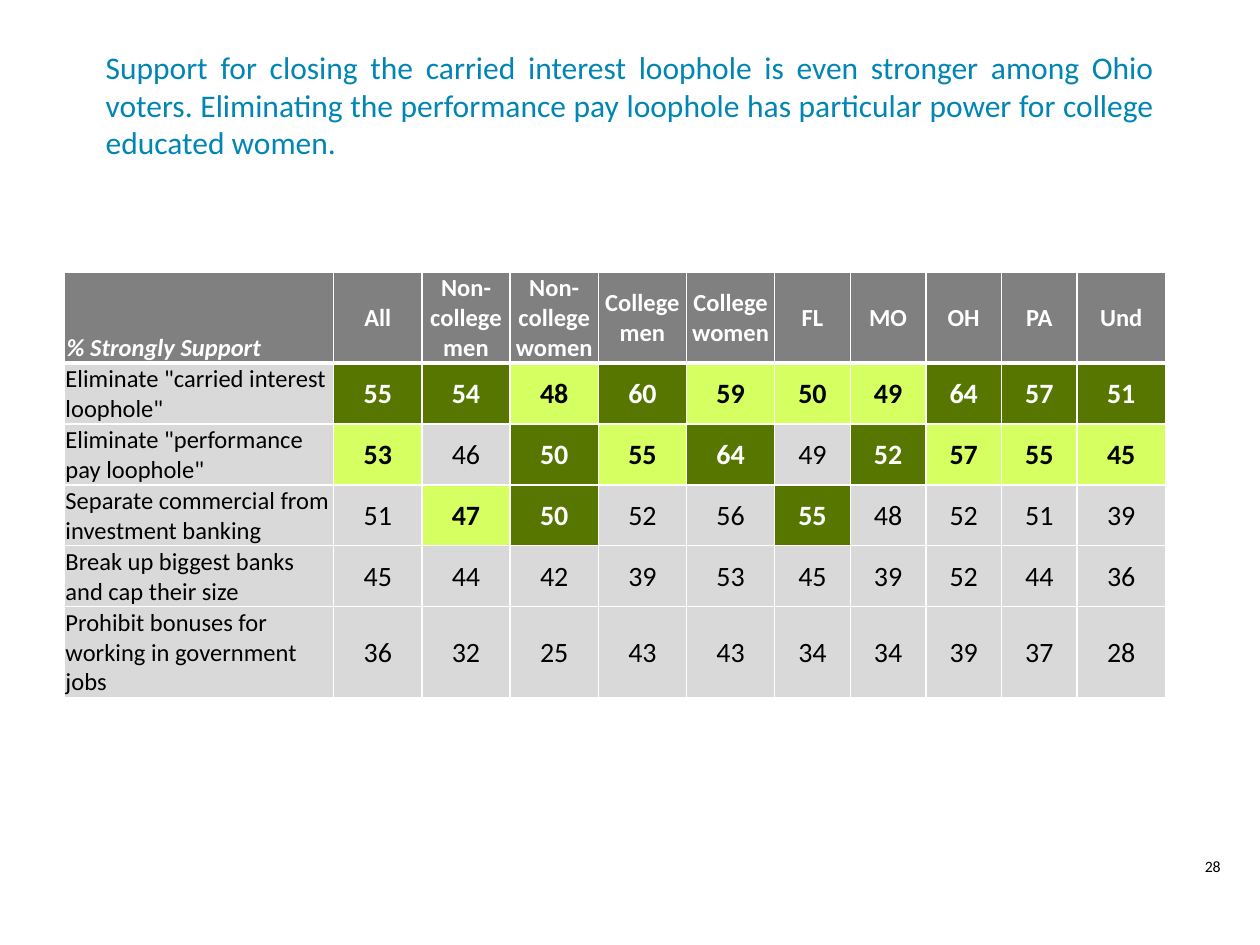
import dataclasses
import pptx
import pptx.util
import pptx.dml.color
import pptx.enum.text
import pptx.oxml

Pt = pptx.util.Pt
Align = pptx.enum.text.PP_ALIGN
Anchor = pptx.enum.text.MSO_ANCHOR


@dataclasses.dataclass(frozen=True)
class Theme:
    font: str = "Calibri"
    title: str = "0085B4"
    ink: str = "000000"
    paper: str = "FFFFFF"
    head: str = "808080"
    plain: str = "D9D9D9"
    first: str = "577600"
    second: str = "D6FF62"
    big: int = 18
    value: int = 16
    label: int = 14
    small: int = 9


THEME = Theme()

GROUPS = ["All", "Non-college men", "Non-college women", "College men",
          "College women", "FL", "MO", "OH", "PA", "Und"]
SUPPORT = {
    'Eliminate "carried interest loophole"': [55, 54, 48, 60, 59, 50, 49, 64, 57, 51],
    'Eliminate "performance pay loophole"': [53, 46, 50, 55, 64, 49, 52, 57, 55, 45],
    "Separate commercial from investment banking": [51, 47, 50, 52, 56, 55, 48, 52, 51, 39],
    "Break up biggest banks and cap their size": [45, 44, 42, 39, 53, 45, 39, 52, 44, 36],
    "Prohibit bonuses for working in government jobs": [36, 32, 25, 43, 43, 34, 34, 39, 37, 28],
}
WIDTHS = [154] + [50.4] * 5 + [43.2] * 4 + [50.4]
HEIGHTS = [52] + [34.8] * 4 + [52]


def color(code):
    return pptx.dml.color.RGBColor.from_string(code)


def write(frame, text, size=THEME.label, ink=THEME.ink, align=Align.LEFT,
          bold=False, italic=False):
    frame.word_wrap = True
    para = frame.paragraphs[0]
    para.alignment = align
    run = para.add_run()
    run.text = text
    font = run.font
    font.name, font.size = THEME.font, Pt(size)
    font.bold, font.italic = bold, italic
    font.color.rgb = color(ink)


def add_text(slide, box, text, anchor=Anchor.TOP, **style):
    frame = slide.shapes.add_textbox(*map(Pt, box)).text_frame
    frame.vertical_anchor = anchor
    write(frame, text, **style)


def add_title(slide, box):
    add_text(slide, box,
             "Support for closing the carried interest loophole is even stronger "
             "among Ohio voters. Eliminating the performance pay loophole has "
             "particular power for college educated women.",
             anchor=Anchor.MIDDLE, size=THEME.big, ink=THEME.title,
             align=Align.JUSTIFY)


def add_number(slide, box):
    add_text(slide, box, "28", size=THEME.small, align=Align.CENTER)


def set_edges(cell, **widths):
    props = cell._tc.get_or_add_tcPr()
    for place, side in enumerate("LRTB"):
        width = Pt(widths.get(side, 1))
        props.insert(place, pptx.oxml.parse_xml(
            f'<a:ln{side} xmlns:a="http://schemas.openxmlformats.org/drawingml/2006/main" '
            f'w="{width}"><a:solidFill><a:srgbClr val="{THEME.paper}"/>'
            f'</a:solidFill></a:ln{side}>'))


def fill_cell(cell, text, fill, anchor=Anchor.MIDDLE, pad=0.72, edges=None, **style):
    cell.fill.solid()
    cell.fill.fore_color.rgb = color(fill)
    cell.vertical_anchor = anchor
    cell.margin_left = cell.margin_right = cell.margin_top = Pt(pad)
    cell.margin_bottom = Pt(0)
    set_edges(cell, **(edges or {}))
    write(cell.text_frame, text, **style)


def rank_style(value, column):
    ranks = sorted(set(column), reverse=True)
    if value == ranks[0]:
        return dict(fill=THEME.first, ink=THEME.paper, bold=True)
    if value == ranks[1]:
        return dict(fill=THEME.second, bold=True)
    return dict(fill=THEME.plain)


def add_support(slide, box):
    table = slide.shapes.add_table(len(HEIGHTS), len(WIDTHS), *map(Pt, box)).table
    table.horz_banding = False
    for col, width in zip(table.columns, WIDTHS):
        col.width = Pt(width)
    for row, height in zip(table.rows, HEIGHTS):
        row.height = Pt(height)

    head = dict(fill=THEME.head, ink=THEME.paper, bold=True, edges={"B": 3})
    fill_cell(table.cell(0, 0), "% Strongly Support", anchor=Anchor.BOTTOM,
              pad=1.44, italic=True, **head)
    for c, group in enumerate(GROUPS, 1):
        fill_cell(table.cell(0, c), group, align=Align.CENTER, **head)

    columns = list(zip(*SUPPORT.values()))
    for r, (label, values) in enumerate(SUPPORT.items(), 1):
        edges = {"T": 3 if r == 1 else 1}
        fill_cell(table.cell(r, 0), label, THEME.plain, edges=edges)
        for c, (value, column) in enumerate(zip(values, columns), 1):
            fill_cell(table.cell(r, c), str(value), size=THEME.value,
                      align=Align.CENTER, edges=edges, **rank_style(value, column))


def main():
    deck = pptx.Presentation()
    deck.slide_width, deck.slide_height = Pt(720), Pt(540)
    slide = deck.slides.add_slide(deck.slide_layouts[6])
    add_title(slide, (53.3, 18, 613.4, 83.5))
    add_support(slide, (36.7, 155.5, sum(WIDTHS), sum(HEIGHTS)))
    add_number(slide, (666, 486, 54, 24))
    deck.save("out.pptx")


if __name__ == "__main__":
    main()
